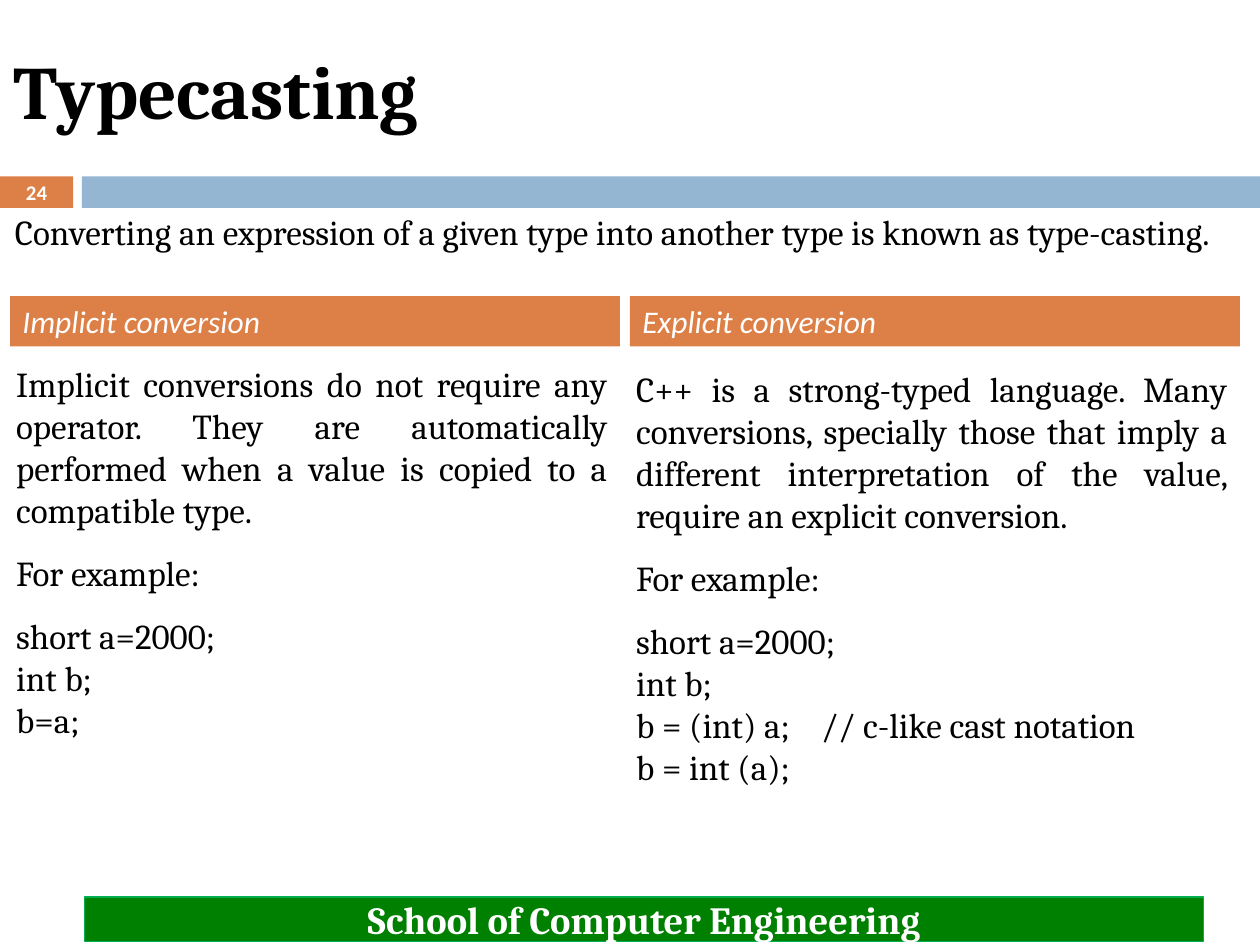
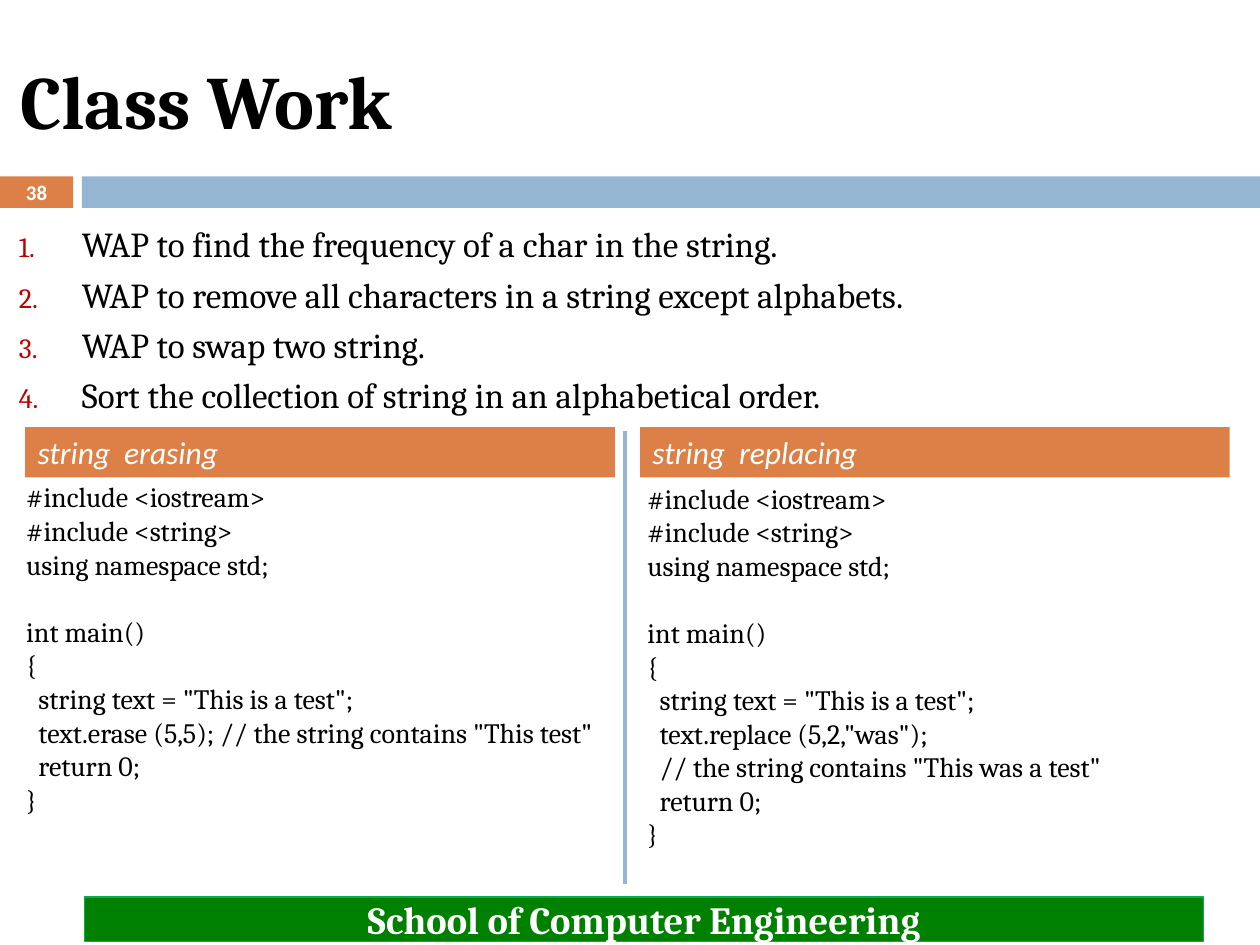
from dataclasses import dataclass

from lxml import etree
from pptx import Presentation
from pptx.dml.color import RGBColor
from pptx.enum.shapes import MSO_CONNECTOR, MSO_SHAPE
from pptx.enum.text import MSO_ANCHOR, MSO_AUTO_SIZE, PP_ALIGN
from pptx.oxml.ns import qn
from pptx.util import Pt

LEFT, CENTER, JUSTIFY = PP_ALIGN.LEFT, PP_ALIGN.CENTER, PP_ALIGN.JUSTIFY
TOP, MIDDLE = MSO_ANCHOR.TOP, MSO_ANCHOR.MIDDLE
NO_FIT = MSO_AUTO_SIZE.NONE
RECTANGLE = MSO_SHAPE.RECTANGLE
STRAIGHT = MSO_CONNECTOR.STRAIGHT


@dataclass(frozen=True)
class Theme:
    """Colours, fonts and type sizes of the deck."""
    ink: str = "000000"
    paper: str = "FFFFFF"
    orange: str = "DD8047"
    blue: str = "94B6D2"
    green: str = "008000"
    green_edge: str = "00B050"
    number_red: str = "C00000"
    serif: str = "Cambria"
    sans: str = "Calibri"
    title: float = 43
    footer: float = 22
    body: float = 20
    heading: float = 18
    code: float = 16
    page_number: float = 11.9


THEME = Theme()
PAGE_WIDTH, PAGE_HEIGHT = 720, 540
BAND_TOP, BAND_HEIGHT = 100.8, 18
NUMBER_WIDTH, BAND_LEFT = 41.76, 46.8
HEADING_HEIGHT = 28.8
FOOTER = "School of Computer Engineering"

# Paragraph layouts: space before and after, left indent, tab stop
PLAIN = {}
SPACED = {"before": 12, "after": 12}
NEW_BLOCK = {"before": 19.2}
INDENTED = {"indent": 7}
COMMENTED = {"tab": 105.7}
HEADING = {"tab": 49.5}

EXAMPLE_START = [
    ("For example:", SPACED),
    ("short a=2000;", PLAIN),
    ("int b;", PLAIN),
]
PROGRAM_START = [
    ("#include <iostream>", PLAIN),
    ("#include <string>", PLAIN),
    ("using namespace std;", PLAIN),
    ("int main()", NEW_BLOCK),
    ("{", PLAIN),
    ('string text = "This is a test";', INDENTED),
]
PROGRAM_END = [("return 0;", INDENTED), ("}", PLAIN)]

TYPECASTING = {
    "title": "Typecasting",
    "title_box": (0.72, 12.24, 696.24, 77.76),
    "number": "24",
    "intro": "Converting an expression of a given type into another type "
             "is known as type-casting.",
    "headings": {"left": 5.76, "top": 169.2, "width": 348.48, "gap": 5.76},
    "text_size": THEME.body,
    "columns": [
        {"heading": "Implicit conversion",
         "box": (2.16, 203.76, 352.08, 225.36),
         "lines": [
             ("Implicit conversions do not require any operator. They are "
              "automatically performed when a value is copied to a "
              "compatible type.", PLAIN),
             *EXAMPLE_START,
             ("b=a;", PLAIN)]},
        {"heading": "Explicit conversion",
         "box": (356.4, 206.64, 352.08, 249.84),
         "lines": [
             ("C++ is a strong-typed language. Many conversions, specially "
              "those that imply a different interpretation of the value, "
              "require an explicit conversion.", PLAIN),
             *EXAMPLE_START,
             ("b = (int) a;\t// c-like cast notation", COMMENTED),
             ("b = int (a);", PLAIN)]},
    ],
}

CLASS_WORK = {
    "title": "Class Work",
    "title_box": (4.32, 18, 642.24, 77.76),
    "number": "38",
    "tasks": [
        "WAP to find the frequency of a char in the string.",
        "WAP to remove all characters in a string except alphabets.",
        "WAP to swap two string.",
        "Sort the collection of string in an alphabetical order.",
    ],
    "headings": {"left": 14.4, "top": 244.08, "width": 336.96, "gap": 14.4},
    "text_size": THEME.code,
    "columns": [
        {"heading": "string\terasing",
         "box": (7.92, 270.72, 354.24, 200.88),
         "lines": [
             *PROGRAM_START,
             ('text.erase (5,5); // the string contains "This test"', INDENTED),
             *PROGRAM_END]},
        {"heading": "string\treplacing",
         "box": (362.88, 271.44, 354.24, 223.2),
         "lines": [
             *PROGRAM_START,
             ('text.replace (5,2,"was");', INDENTED),
             ('// the string contains "This was a test"', INDENTED),
             *PROGRAM_END]},
    ],
}


def color(code):
    """Turn a hex code into a colour."""
    return RGBColor.from_string(code)


def points(values):
    """Turn plain numbers into lengths in points."""
    return [Pt(value) for value in values]


def add_child(parent, tag, **attributes):
    """Append a drawing element with the given attributes."""
    child = etree.SubElement(parent, qn(tag))
    for name, value in attributes.items():
        child.set(name, str(value))
    return child


def place(shape, box):
    """Move and size a placeholder."""
    shape.left, shape.top, shape.width, shape.height = points(box)


def write(shape, lines, size, ink=THEME.ink, font=THEME.serif, align=JUSTIFY,
          anchor=TOP, bold=False, italic=False):
    """Fill a shape with (text, layout) lines in one type style."""
    frame = shape.text_frame
    frame.word_wrap = True
    frame.auto_size = NO_FIT
    frame.vertical_anchor = anchor
    frame.text = "\n".join(text for text, _ in lines)
    for para, (_, layout) in zip(frame.paragraphs, lines):
        para.alignment = align
        para.space_before = Pt(layout.get("before", 0))
        para.space_after = Pt(layout.get("after", 0))
        properties = para._p.get_or_add_pPr()
        if "indent" in layout:
            properties.set("marL", str(Pt(layout["indent"])))
        if "tab" in layout:
            stops = add_child(properties, "a:tabLst")
            add_child(stops, "a:tab", pos=Pt(layout["tab"]), algn="l")
        for span in para.runs:
            span.font.name = font
            span.font.size = Pt(size)
            span.font.bold = bold
            span.font.italic = italic
            span.font.color.rgb = color(ink)


def add_bar(page, box, fill, edge=None):
    """Draw a flat rectangle, outlined if an edge colour is given."""
    bar = page.shapes.add_shape(RECTANGLE, *points(box))
    bar.shadow.inherit = False
    bar.fill.solid()
    bar.fill.fore_color.rgb = color(fill)
    if edge:
        bar.line.color.rgb = color(edge)
        bar.line.width = Pt(0.75)
    else:
        bar.line.fill.background()
    return bar


def add_text(page, box, lines, size, **style):
    """Add a text box."""
    write(page.shapes.add_textbox(*points(box)), lines, size, **style)


def add_page(deck, layout_index, content):
    """Add a slide with the shared bands, title, number and footer."""
    page = deck.slides.add_slide(deck.slide_layouts[layout_index])
    number_box = (0, BAND_TOP, NUMBER_WIDTH, BAND_HEIGHT)
    add_bar(page, number_box, THEME.orange)
    add_bar(page, (BAND_LEFT, BAND_TOP, PAGE_WIDTH - BAND_LEFT, BAND_HEIGHT),
            THEME.blue)
    place(page.shapes.title, content["title_box"])
    write(page.shapes.title, [(content["title"], PLAIN)], THEME.title,
          align=LEFT, anchor=MIDDLE, bold=True)
    add_text(page, number_box, [(content["number"], PLAIN)], THEME.page_number,
             ink=THEME.paper, font=THEME.sans, align=CENTER, anchor=MIDDLE,
             bold=True)
    footer = add_bar(page, (48.24, 512.64, 639.36, 25.2), THEME.green,
                     THEME.green_edge)
    write(footer, [(FOOTER, PLAIN)], THEME.footer, ink=THEME.paper,
          align=CENTER, anchor=MIDDLE, bold=True)
    return page


def add_columns(page, content):
    """Add two columns, each with a heading bar above its text."""
    row = content["headings"]
    for index, column in enumerate(content["columns"]):
        add_text(page, column["box"], column["lines"], content["text_size"])
        left = row["left"] + index * (row["width"] + row["gap"])
        bar = add_bar(page, (left, row["top"], row["width"], HEADING_HEIGHT),
                      THEME.orange)
        write(bar, [(column["heading"], HEADING)], THEME.heading,
              ink=THEME.paper, font=THEME.sans, align=LEFT, italic=True)


def add_tasks(page, tasks):
    """Fill the body placeholder with a numbered list."""
    body = page.placeholders[1]
    place(body, (3.6, 118.8, 689.76, 126))
    write(body, [(task, PLAIN) for task in tasks], THEME.body)
    for para in body.text_frame.paragraphs:
        para.line_spacing = 1.2
        properties = para._p.get_or_add_pPr()
        properties.set("marL", str(Pt(36)))
        properties.set("indent", str(Pt(-36)))
        bullet_color = add_child(properties, "a:buClr")
        add_child(bullet_color, "a:srgbClr", val=THEME.number_red)
        add_child(properties, "a:buSzPct", val=80000)
        add_child(properties, "a:buFont", typeface=THEME.sans)
        add_child(properties, "a:buAutoNum", type="arabicPeriod")


def add_divider(page, x, top, bottom):
    """Draw the vertical line between the columns."""
    divider = page.shapes.add_connector(STRAIGHT, *points((x, top, x, bottom)))
    divider.line.color.rgb = color(THEME.blue)
    divider.line.width = Pt(2.5)
    add_child(divider._element.spPr, "a:effectLst")


def main():
    """Build and save the deck."""
    deck = Presentation()
    deck.slide_width, deck.slide_height = Pt(PAGE_WIDTH), Pt(PAGE_HEIGHT)

    page = add_page(deck, 5, TYPECASTING)
    add_text(page, (1.44, 116.64, 706.32, 55.44),
             [(TYPECASTING["intro"], PLAIN)], THEME.body)
    add_columns(page, TYPECASTING)

    page = add_page(deck, 1, CLASS_WORK)
    add_tasks(page, CLASS_WORK["tasks"])
    add_columns(page, CLASS_WORK)
    add_divider(page, 357.12, 246.24, 505.44)

    deck.save("out.pptx")


main()
